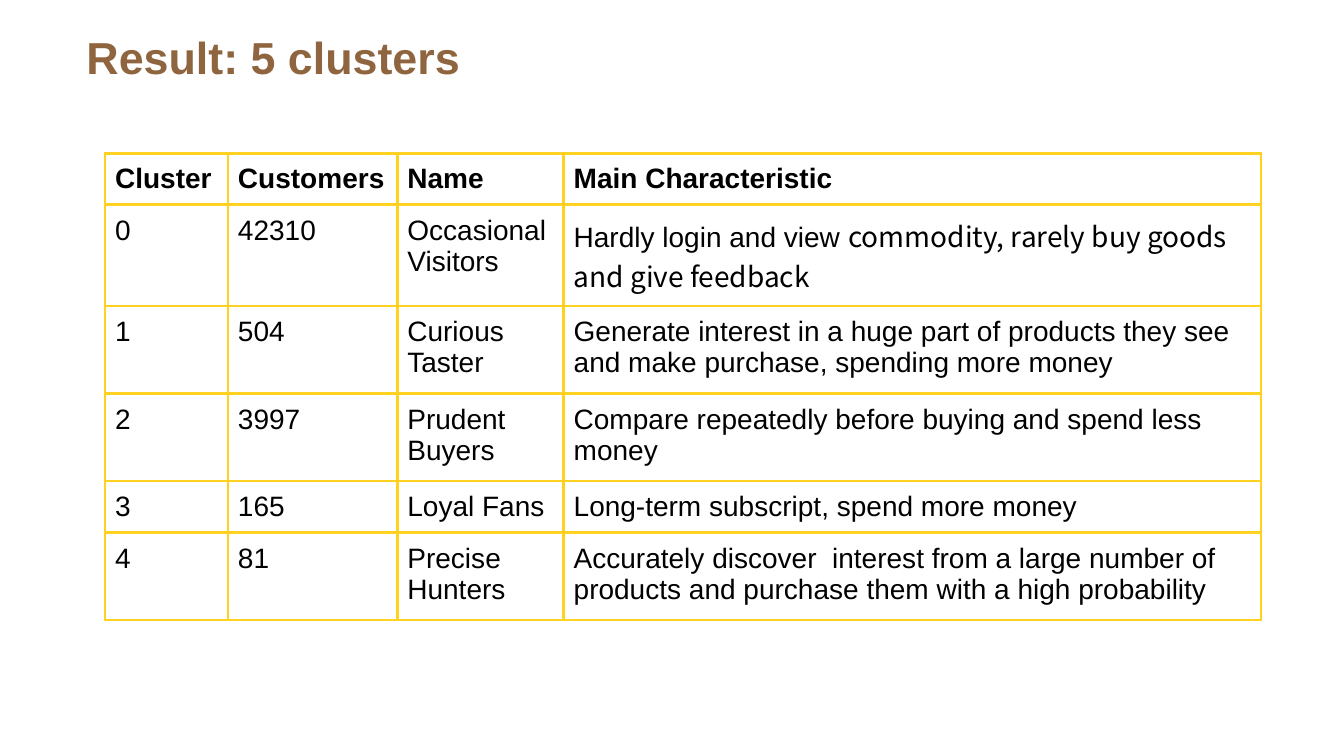
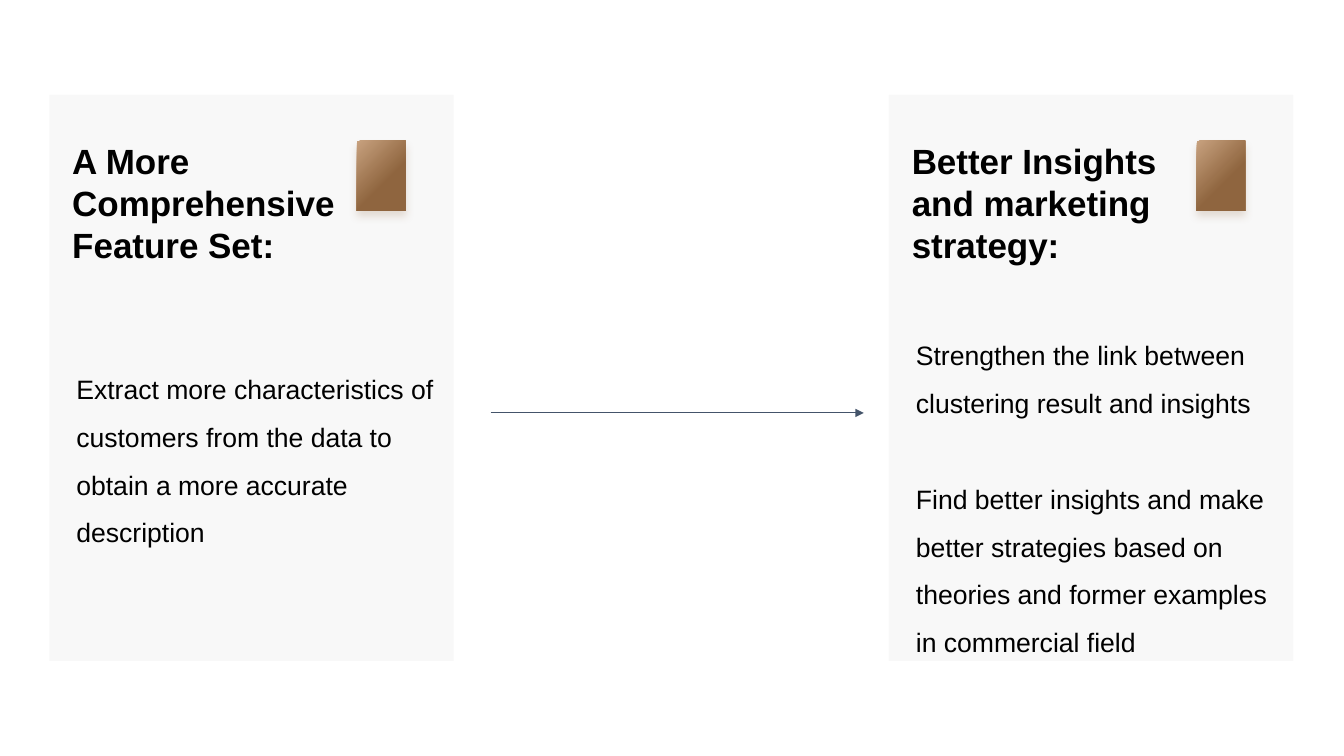
"""Build two slides: the customer clusters table and the planned next steps."""
from pptx import Presentation
from pptx.dml.color import RGBColor
from pptx.enum.shapes import MSO_CONNECTOR, MSO_SHAPE
from pptx.oxml import parse_xml
from pptx.oxml.ns import nsdecls, qn
from pptx.util import Pt

BROWN = "8F653F"
TAN = "C7A17E"
YELLOW = "FFD120"
GRAY = "7F7F7F"
SLATE = "44546A"
BLACK = "000000"
NS = nsdecls("a")


def color(hex_code):
    return RGBColor.from_string(hex_code)


def write(paragraph, text, size=20, bold=False, ink=BLACK, font="Arial", spacing=None, before=None):
    run = paragraph.add_run()
    run.text = text
    run.font.size = Pt(size)
    run.font.bold = bold
    run.font.name = font
    run.font.color.rgb = color(ink)
    if spacing:
        paragraph.line_spacing = spacing
    if before:
        paragraph.space_before = Pt(before)


deck = Presentation()
deck.slide_width, deck.slide_height = Pt(960), Pt(540)
blank = deck.slide_layouts[6]

clusters_slide = deck.slides.add_slide(blank)
rows = [
    ["Cluster", "Customers", "Name", "Main Characteristic"],
    ["0", "42310", "Occasional Visitors", "Hardly login and view "],
    ["1", "504", "Curious Taster",
     "Generate interest in a huge part of products they see and make purchase, spending more money"],
    ["2", "3997", "Prudent Buyers", "Compare repeatedly before buying and spend less money"],
    ["3", "165", "Loyal Fans", "Long-term subscript, spend more money"],
    ["4", "81", "Precise Hunters",
     "Accurately discover  interest from a large number of products and purchase them with a high probability"],
]
widths = [87.8, 121, 118.8, 498.2]
heights = [36.8, 72.2, 62.5, 62.5, 36.8, 62.5]
clusters = clusters_slide.shapes.add_table(
    len(rows), len(widths), Pt(75), Pt(109.4), Pt(sum(widths)), Pt(sum(heights))).table
clusters.first_row = clusters.horz_banding = False
for column, width in zip(clusters.columns, widths):
    column.width = Pt(width)
for row_index, (values, height) in enumerate(zip(rows, heights)):
    clusters.rows[row_index].height = Pt(height)
    for column_index, value in enumerate(values):
        cell = clusters.cell(row_index, column_index)
        cell.margin_left = cell.margin_right = cell.margin_top = cell.margin_bottom = Pt(7.2)
        write(cell.text_frame.paragraphs[0], value, bold=row_index == 0)
        cell.fill.background()
        for position, edge in enumerate(["lnL", "lnR", "lnT", "lnB"]):
            border = parse_xml(
                f'<a:{edge} {NS} w="{Pt(2.25)}"><a:solidFill><a:srgbClr val="{YELLOW}"/>'
                f'</a:solidFill></a:{edge}>')
            cell._tc.tcPr.insert(position, border)
write(clusters.cell(1, 3).text_frame.paragraphs[0],
      "commodity, rarely buy goods and give feedback", font="Noto Sans CJK SC")

title = clusters_slide.shapes.add_textbox(Pt(54.7), Pt(18), Pt(850), Pt(46)).text_frame
title.word_wrap = True
write(title.paragraphs[0], "Result: 5 clusters", size=32, bold=True, ink=BROWN)

steps_slide = deck.slides.add_slide(blank)
cards = [
    (35.3, "A More Comprehensive Feature Set:", 251.3, 134,
     ["Extract more characteristics of customers from the data to obtain a more accurate description"]),
    (635, "Better Insights and marketing strategy:", 227.5, 238,
     ["Strengthen the link between clustering result and insights",
      "Find better insights and make better strategies based on theories and former examples "
      "in commercial field"]),
]
for left, heading, body_top, body_height, sentences in cards:
    card = steps_slide.shapes.add_group_shape().shapes

    panel = card.add_shape(MSO_SHAPE.RECTANGLE, Pt(left), Pt(67.8), Pt(288.7), Pt(404.4))
    panel.shadow.inherit = False
    panel.line.fill.background()
    panel.fill.solid()
    panel.fill.fore_color.rgb = color(GRAY)
    tint = panel._element.spPr.find(qn("a:solidFill"))[0]
    tint.append(parse_xml(f'<a:alpha {NS} val="5000"/>'))

    heading_frame = card.add_textbox(Pt(left + 9.2), Pt(95.8), Pt(224.6), Pt(98)).text_frame
    heading_frame.word_wrap = True
    write(heading_frame.paragraphs[0], heading, size=25, bold=True)

    body = card.add_textbox(Pt(left + 12.2), Pt(body_top), Pt(276.5), Pt(body_height)).text_frame
    body.word_wrap = True
    for index, sentence in enumerate(sentences):
        paragraph = body.add_paragraph() if index else body.paragraphs[0]
        write(paragraph, sentence, size=19, spacing=1.5, before=34 * index)

    badge = card.add_shape(MSO_SHAPE.RECTANGLE, Pt(left + 219.7), Pt(100.7), Pt(34.8), Pt(50))
    badge.line.fill.background()
    badge.fill.gradient()
    badge.fill.gradient_angle = 315
    for stop, (place, shade) in zip(badge.fill.gradient_stops, [(0, TAN), (0.6, BROWN)]):
        stop.position = place
        stop.color.rgb = color(shade)
    badge.shadow.inherit = False
    badge._element.spPr.find(qn("a:effectLst")).append(parse_xml(
        f'<a:outerShdw {NS} blurRad="{Pt(6)}" dist="{Pt(4)}" dir="5400000" algn="t" rotWithShape="0">'
        f'<a:srgbClr val="{BROWN}"><a:alpha val="20000"/></a:srgbClr></a:outerShdw>'))

arrow = steps_slide.shapes.add_connector(
    MSO_CONNECTOR.STRAIGHT, Pt(350.5), Pt(295), Pt(617), Pt(295))
arrow.line.color.rgb = color(SLATE)
arrow.line.width = Pt(0.75)
arrow_properties = arrow._element.spPr
arrow_properties.find(qn("a:ln")).append(parse_xml(f'<a:tailEnd {NS} type="triangle"/>'))
arrow_properties.append(parse_xml(f'<a:effectLst {NS}/>'))

deck.save("out.pptx")
